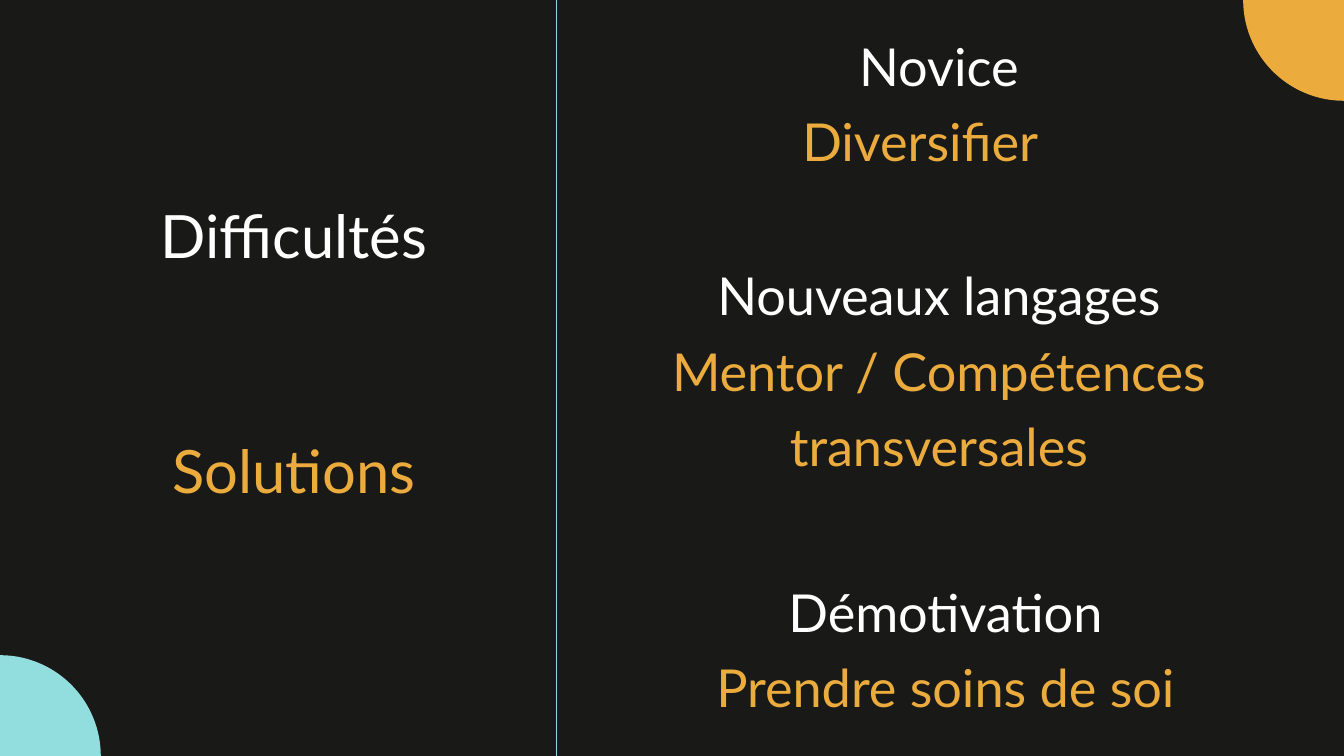
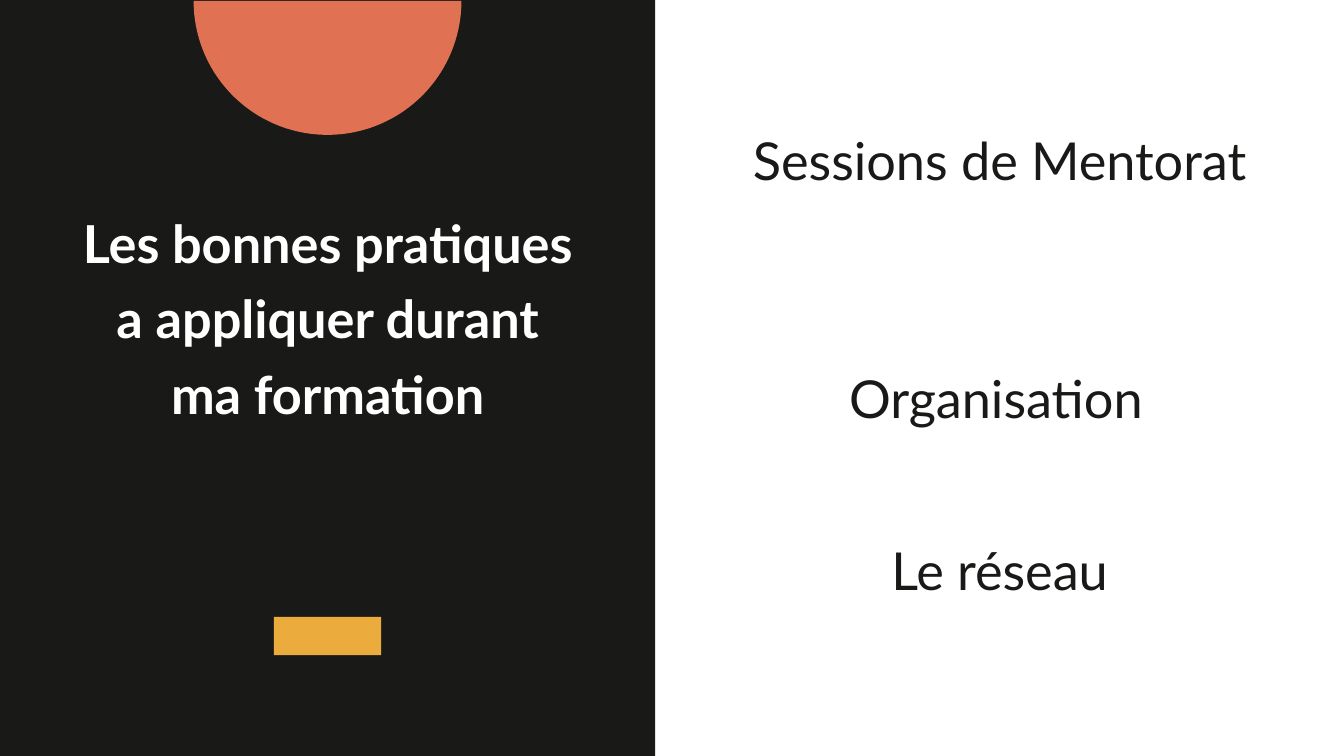
"""Build two slides on training difficulties, solutions and good practices."""
from dataclasses import dataclass
from math import cos, radians, sin

from lxml.etree import SubElement
from pptx import Presentation
from pptx.dml.color import RGBColor as RGB
from pptx.enum.shapes import MSO_CONNECTOR as CONNECTOR, MSO_SHAPE as SHAPE
from pptx.enum.text import MSO_AUTO_SIZE as AUTO_SIZE, PP_ALIGN as ALIGN
from pptx.oxml.ns import qn
from pptx.util import Pt


@dataclass(frozen=True)
class Theme:
    font: str = "Lato"
    body: int = 28
    heading: int = 32
    ink: RGB = RGB(0x19, 0x19, 0x18)
    white: RGB = RGB(0xFF, 0xFF, 0xFF)
    gold: RGB = RGB(0xEB, 0xAC, 0x3D)
    aqua: RGB = RGB(0x92, 0xDD, 0xDD)
    divider: RGB = RGB(0x8D, 0xDA, 0xDA)
    coral: RGB = RGB(0xE1, 0x71, 0x53)


theme = Theme()
WIDTH, HEIGHT = 720, 405


def write(slide, box, lines, size=theme.body, bold=False, spacing=1.2):
    frame = slide.shapes.add_textbox(*map(Pt, box)).text_frame
    frame_format = {"margin_left": 0, "margin_top": 0, "margin_right": 0, "margin_bottom": 0,
                    "word_wrap": True, "auto_size": AUTO_SIZE.SHAPE_TO_FIT_TEXT}
    for name, value in frame_format.items():
        setattr(frame, name, value)
    for index, (words, color, indent) in enumerate(lines):
        paragraph = frame.add_paragraph() if index else frame.paragraphs[0]
        run = paragraph.add_run()
        run.text = words
        run.font.color.rgb = color
        for name, value in {"name": theme.font, "size": Pt(size), "bold": bold}.items():
            setattr(run.font, name, value)
        for name, value in {"alignment": ALIGN.CENTER, "line_spacing": spacing}.items():
            setattr(paragraph, name, value)
        if indent:
            paragraph._p.get_or_add_pPr().set("marR", str(Pt(indent)))


def add_sector(slide, x, y, radius, start, end):
    arc = [(Pt(x + radius * cos(radians(angle))), Pt(y + radius * sin(radians(angle))))
           for angle in range(start, end + 1, 2)]
    builder = slide.shapes.build_freeform(Pt(x), Pt(y))
    builder.add_line_segments(arc, close=True)
    return builder.convert_to_shape()


deck = Presentation()
deck.slide_width, deck.slide_height = Pt(WIDTH), Pt(HEIGHT)
difficulties, practices = [deck.slides.add_slide(deck.slide_layouts[6]) for _ in range(2)]
for slide, color in ((difficulties, theme.ink), (practices, theme.white)):
    slide.background.fill.solid()
    slide.background.fill.fore_color.rgb = color

pairs = [
    ((298, 11.5, 410, 91.5), "Novice", "Diversifier", 20),
    ((298, 134.5, 410, 132.5), "Nouveaux langages", "Mentor / Compétences transversales", 0),
    ((309.5, 304, 394, 81.5), "Démotivation", "Prendre soins de soi", 0),
]
for box, difficulty, solution, indent in pairs:
    write(difficulties, box, [(difficulty, theme.white, 0), (solution, theme.gold, indent)])

legend = [("Difficultés", theme.white, 106.5, 39, 1.0), ("Solutions", theme.gold, 224.5, 47, 1.2)]
for words, color, top, height, spacing in legend:
    write(difficulties, (22.5, top, 270, height), [(words, color, 0)], theme.heading, spacing=spacing)

painted = [
    (add_sector(difficulties, WIDTH, 0, 54, 90, 180), theme.gold),
    (add_sector(difficulties, 0, HEIGHT, 54, 270, 360), theme.aqua),
]

divider = difficulties.shapes.add_connector(CONNECTOR.STRAIGHT, Pt(298), 0, Pt(298), Pt(HEIGHT))
divider.line.color.rgb = theme.divider
divider.line.width = Pt(0.75)
SubElement(divider._element.spPr, qn("a:effectLst"))

panel_width, bar_width = 351, 57.5
center = panel_width / 2
for box, color in (
    ((0, 0, panel_width, HEIGHT), theme.ink),
    ((center - bar_width / 2, 330.5, bar_width, 20.5), theme.gold),
):
    painted.append((practices.shapes.add_shape(SHAPE.RECTANGLE, *map(Pt, box)), color))

write(practices, (43.5, 106.5, 264, 163),
      [("Les bonnes pratiques a appliquer durant ma formation", theme.white, 0)], bold=True)
for words, top, height, indent in (
    ("Sessions de Mentorat", 62, 81.5, 0),
    ("Organisation", 189.5, 41, 4),
    ("Le réseau", 281.5, 41, 0),
):
    write(practices, (400.5, top, 270, height), [(words, theme.ink, indent)])
painted.append((add_sector(practices, center, 0.5, 71.75, 0, 180), theme.coral))

for shape, color in painted:
    shape.shadow.inherit = False
    shape.fill.solid()
    shape.fill.fore_color.rgb = color
    shape.line.fill.background()

deck.save("out.pptx")
